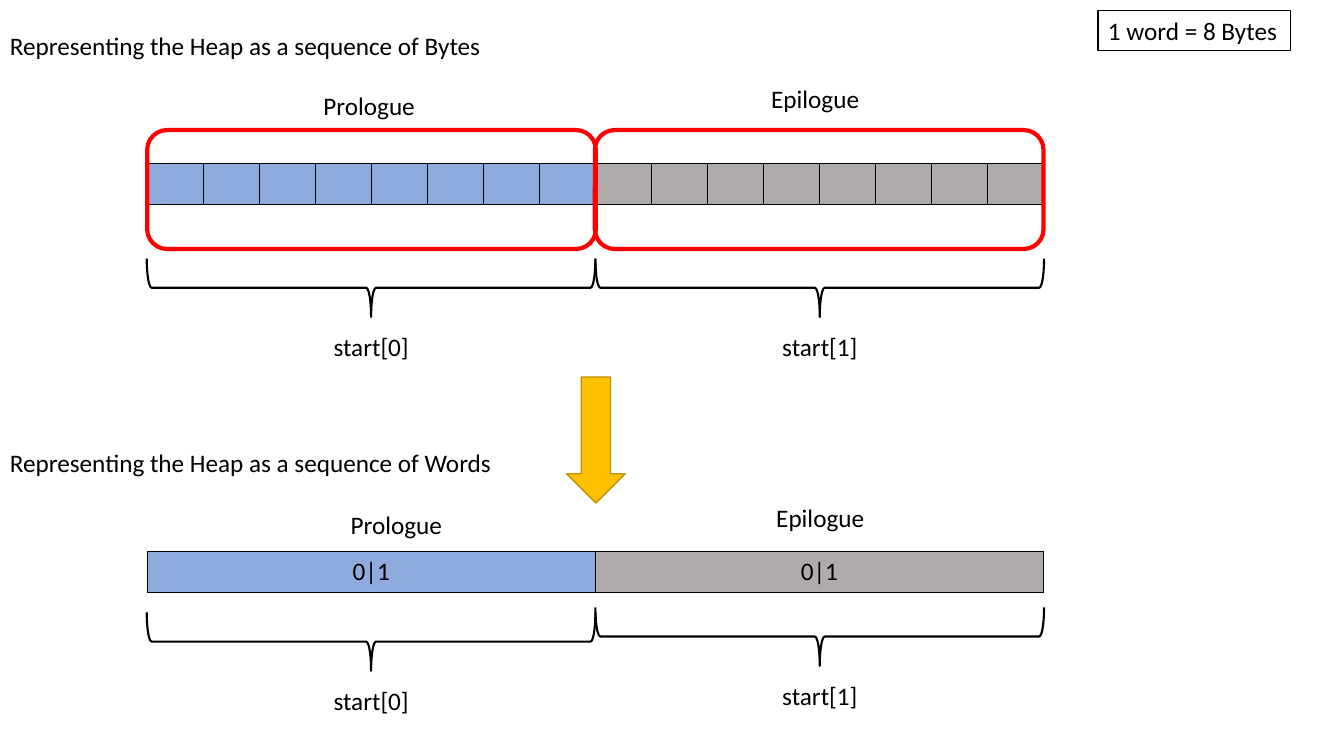
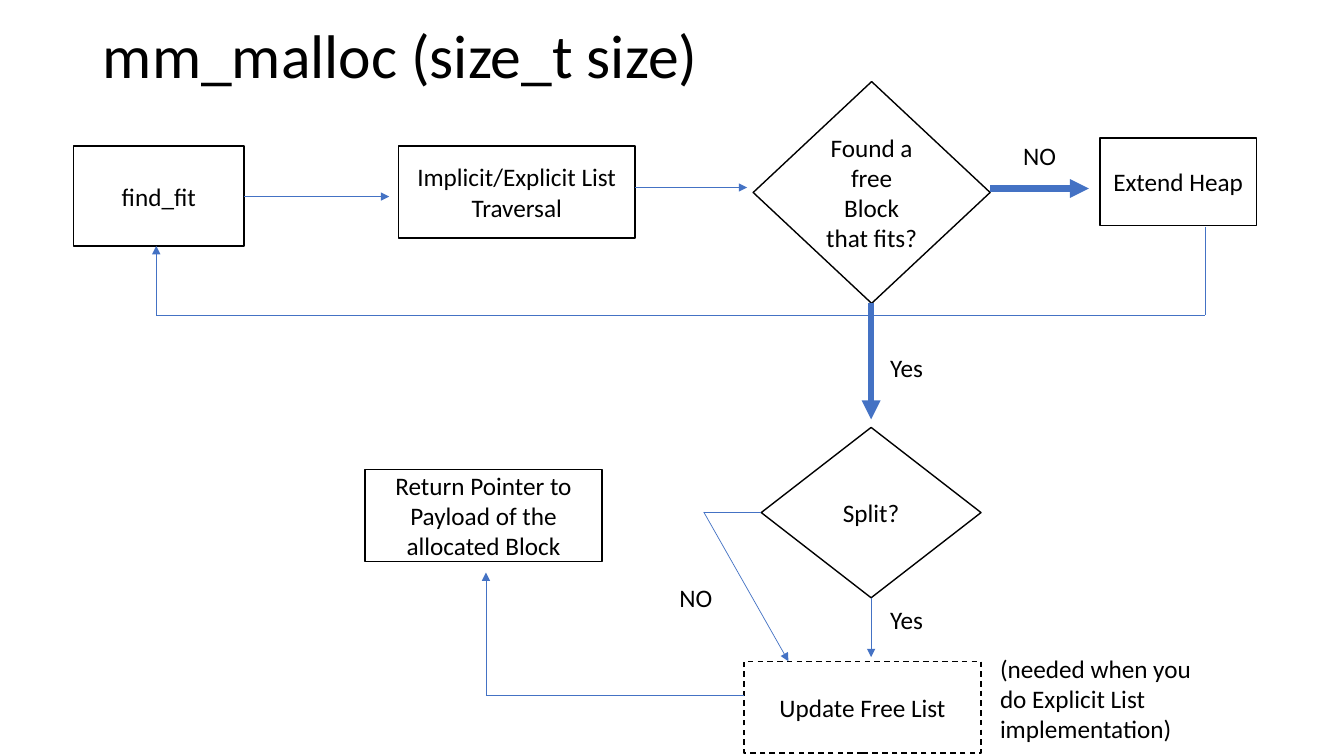
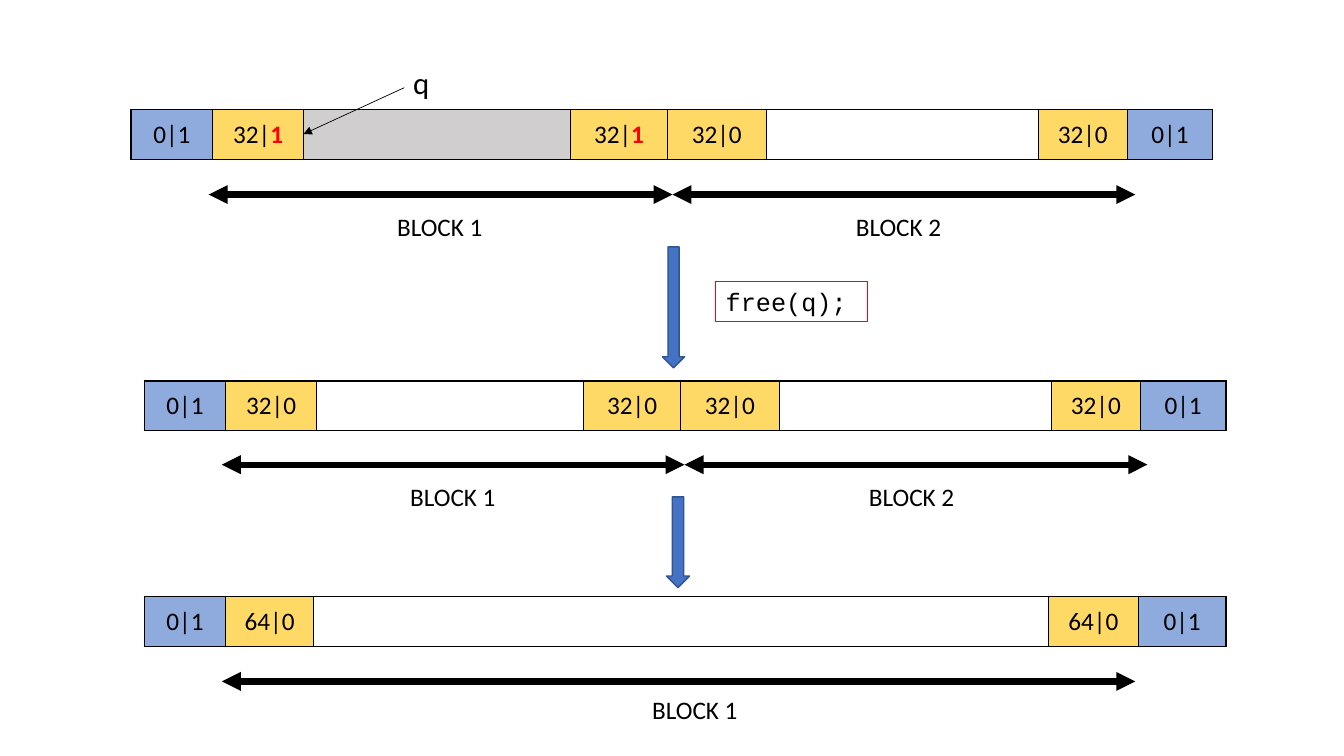
import lxml.etree
import pptx
import pptx.dml.color
import pptx.enum.dml
import pptx.enum.shapes
import pptx.enum.text
import pptx.oxml.ns
import pptx.util

RGBColor = pptx.dml.color.RGBColor
BLACK = RGBColor(0x00, 0x00, 0x00)
WHITE = RGBColor(0xFF, 0xFF, 0xFF)
RED = RGBColor(0xFF, 0x00, 0x00)
BLUE = RGBColor(0x44, 0x72, 0xC4)
DARK_BLUE = RGBColor(0x32, 0x54, 0x91)
LIGHT_BLUE = RGBColor(0x8F, 0xAA, 0xDC)
GRAY = RGBColor(0xAF, 0xAB, 0xAB)
LIGHT_GRAY = RGBColor(0xD0, 0xCE, 0xCE)
GOLD = RGBColor(0xFF, 0xC0, 0x00)
DARK_GOLD = RGBColor(0xBD, 0x8E, 0x00)
YELLOW = RGBColor(0xFF, 0xD9, 0x66)

PX = 9144  # EMU in one px, 100 px to the inch
SHAPES = pptx.enum.shapes.MSO_SHAPE
LEFT = pptx.enum.text.PP_ALIGN.LEFT
CENTER = pptx.enum.text.PP_ALIGN.CENTER
TOP = pptx.enum.text.MSO_ANCHOR.TOP
MIDDLE = pptx.enum.text.MSO_ANCHOR.MIDDLE
qn = pptx.oxml.ns.qn


def write_text(frame, text, size=18, font="Calibri", align=LEFT, anchor=TOP, highlight=""):
    """Fill a text frame; highlight is appended as a bold red run."""
    frame.word_wrap = True
    frame.vertical_anchor = anchor
    paragraph = frame.paragraphs[0]
    paragraph.alignment = align
    for words, color, bold in ((text, BLACK, False), (highlight, RED, True)):
        if words:
            run = paragraph.add_run()
            run.text = words
            run.font.size = pptx.util.Pt(size)
            run.font.name = font
            run.font.bold = bold
            run.font.color.rgb = color


def add_shape(slide, kind, left, top, width, height, fill=None, line=BLACK, weight=1):
    shape = slide.shapes.add_shape(kind, left * PX, top * PX, width * PX, height * PX)
    shape.shadow.inherit = False
    if fill is None:
        shape.fill.background()
    else:
        shape.fill.solid()
        shape.fill.fore_color.rgb = fill
    shape.line.color.rgb = line
    shape.line.width = pptx.util.Pt(weight)
    return shape


presentation = pptx.Presentation()
presentation.slide_width = 1333 * PX
presentation.slide_height = 750 * PX
title_only, blank = presentation.slide_layouts[5], presentation.slide_layouts[6]
heap_slide = presentation.slides.add_slide(blank)
malloc_slide = presentation.slides.add_slide(title_only)
free_slide = presentation.slides.add_slide(blank)

# Memory strips: each cell is (width, fill, text, highlight)
HEAP_WIDTH = 889
COLUMN_WIDTHS = (81, 90, 265, 96, 98, 270, 88, 85)
edge = (LIGHT_BLUE, "0|1", "")
free_tag = (YELLOW, "32|0", "")
used_tag = (YELLOW, "32|", "1")
merged_tag = (YELLOW, "64|0", "")
empty = (WHITE, "", "")
used = (LIGHT_GRAY, "", "")
before = (edge, used_tag, used, used_tag, free_tag, empty, free_tag, edge)
after = (edge, free_tag, empty, free_tag, free_tag, empty, free_tag, edge)
merged = (edge, merged_tag, empty, merged_tag, edge)
strips = [
    (heap_slide, 146, 162, 41,
     [(HEAP_WIDTH / 16, fill, "", "") for fill in (LIGHT_BLUE, GRAY) for _ in range(8)]),
    (heap_slide, 146, 547, 41,
     [(HEAP_WIDTH / 2, fill, "0|1", "") for fill in (LIGHT_BLUE, GRAY)]),
    (free_slide, 130, 109, 49, [(w, *cell) for w, cell in zip(COLUMN_WIDTHS, before)]),
    (free_slide, 143, 378, 49, [(w, *cell) for w, cell in zip(COLUMN_WIDTHS, after)]),
    (free_slide, 143, 592, 49, [(w, *cell) for w, cell in zip((81, 87, 729, 89, 87), merged)]),
]
for slide, left, top, height, cells in strips:
    total = int(sum(cell[0] for cell in cells) * PX)
    table = slide.shapes.add_table(
        1, len(cells), left * PX, top * PX, total, height * PX).table
    table.first_row = table.horz_banding = False
    for index, (width, fill, text, highlight) in enumerate(cells):
        table.columns[index].width = int(width * PX)
        cell = table.cell(0, index)
        properties = cell._tc.get_or_add_tcPr()
        for side in ("a:lnL", "a:lnR", "a:lnT", "a:lnB"):
            border = lxml.etree.SubElement(properties, qn(side), w="12700")
            solid = lxml.etree.SubElement(border, qn("a:solidFill"))
            lxml.etree.SubElement(solid, qn("a:srgbClr"), val=str(BLACK))
        cell.fill.solid()
        cell.fill.fore_color.rgb = fill
        cell.vertical_anchor = MIDDLE
        write_text(cell.text_frame, text, align=CENTER, anchor=MIDDLE, highlight=highlight)

# Plain labels, written after all slides are set up
labels = [
    (heap_slide, 0, 25, 525, 40, "Representing the Heap as a sequence of Bytes"),
    (heap_slide, 0, 439, 525, 40, "Representing the Heap as a sequence of Words"),
    (heap_slide, 311, 85, 115, 40, "Prologue"),
    (heap_slide, 755, 78, 115, 40, "Epilogue"),
    (heap_slide, 338, 500, 115, 40, "Prologue"),
    (heap_slide, 760, 493, 115, 40, "Epilogue"),
    (malloc_slide, 1005, 134, 68, 40, "NO"),
    (malloc_slide, 873, 345, 68, 40, "Yes"),
    (malloc_slide, 664, 573, 68, 40, "NO"),
    (malloc_slide, 873, 595, 68, 40, "Yes"),
    (malloc_slide, 982, 643, 234, 101, "(needed when you do Explicit List implementation)"),
]

# Heap as bytes and as words
for left in (146, 590):
    add_shape(heap_slide, SHAPES.ROUNDED_RECTANGLE, left, 129, 445, 118, line=RED, weight=3)
for left, top, index in ((339, 63, 0), (784, 63, 1), (339, 414, 0), (784, 409, 1)):
    brace = add_shape(heap_slide, SHAPES.RIGHT_BRACE, left, top, 58, 445, weight=1.5)
    brace.rotation = 90
    labels.append((heap_slide, left - 18, top + 261, 96, 40, f"start[{index}]"))
add_shape(heap_slide, SHAPES.DOWN_ARROW, 562, 374, 58, 125, GOLD, DARK_GOLD)
word_size = add_shape(heap_slide, SHAPES.RECTANGLE, 1089, 10, 191, 40, weight=0.75)
write_text(word_size.text_frame, "1 word = 8 Bytes")

# Allocation flowchart
title = malloc_slide.shapes.title
title.left, title.top, title.width, title.height = 92 * PX, 2 * PX, 1150 * PX, 113 * PX
title.text_frame.auto_size = pptx.enum.text.MSO_AUTO_SIZE.NONE
write_text(title.text_frame, "mm_malloc (size_t size)", size=44, anchor=MIDDLE)
title.text_frame.paragraphs[0].line_spacing = 0.9
steps = [
    (SHAPES.RECTANGLE, 73, 145, 169, 99, "find_fit"),
    (SHAPES.RECTANGLE, 395, 145, 235, 91, "Implicit/Explicit List Traversal"),
    (SHAPES.DIAMOND, 747, 81, 235, 220, "Found a free Block that fits?"),
    (SHAPES.RECTANGLE, 1091, 137, 155, 87, "Extend Heap"),
    (SHAPES.DIAMOND, 755, 424, 218, 169, "Split?"),
    (SHAPES.RECTANGLE, 362, 466, 235, 91, "Return Pointer to Payload of the allocated Block"),
    (SHAPES.RECTANGLE, 738, 656, 235, 91, "Update Free List"),
]
for kind, left, top, width, height, text in steps:
    step = add_shape(malloc_slide, kind, left, top, width, height, WHITE)
    write_text(step.text_frame, text, align=CENTER, anchor=MIDDLE)
step.line.dash_style = pptx.enum.dml.MSO_LINE.DASH  # the last step is optional

# Connectors: slide, start, end, colour, weight, arrowheads
END, BOTH = ("a:tailEnd",), ("a:headEnd", "a:tailEnd")
connectors = [
    (malloc_slide, (242, 195), (386, 195), BLUE, 0.5, END),
    (malloc_slide, (630, 186), (741, 186), BLUE, 0.5, END),
    (malloc_slide, (982, 187), (1080, 187), BLUE, 4.5, END),
    (malloc_slide, (1195, 225), (1195, 313), BLUE, 0.5, ()),
    (malloc_slide, (155, 313), (1195, 313), BLUE, 0.5, ()),
    (malloc_slide, (155, 313), (155, 244), BLUE, 0.5, END),
    (malloc_slide, (864, 301), (864, 416), BLUE, 4.5, END),
    (malloc_slide, (698, 508), (755, 508), BLUE, 0.5, ()),
    (malloc_slide, (698, 508), (782, 656), BLUE, 0.5, END),
    (malloc_slide, (864, 593), (864, 652), BLUE, 0.5, END),
    (malloc_slide, (482, 690), (738, 690), BLUE, 0.5, ()),
    (malloc_slide, (482, 690), (482, 568), BLUE, 0.5, END),
    (free_slide, (401, 87), (301, 133), BLACK, 0.5, END),
]

# Freeing and merging blocks
block_spans = [
    (207, 667, 193, 384, 205, "BLOCK 1"),
    (667, 1126, 193, 839, 205, "BLOCK 2"),
    (220, 679, 461, 397, 473, "BLOCK 1"),
    (679, 1138, 461, 852, 473, "BLOCK 2"),
    (220, 1126, 676, 637, 684, "BLOCK 1"),
]
for start, end, y, label_left, label_top, text in block_spans:
    connectors.append((free_slide, (start, y), (end, y), BLACK, 4.5, BOTH))
    labels.append((free_slide, label_left, label_top, 114, 40, text))
add_shape(free_slide, SHAPES.DOWN_ARROW, 657, 245, 22, 120, BLUE, DARK_BLUE)
add_shape(free_slide, SHAPES.DOWN_ARROW, 661, 493, 23, 90, BLUE, DARK_BLUE)
free_call = add_shape(free_slide, SHAPES.RECTANGLE, 710, 279, 150, 40, line=RED, weight=0.75)
write_text(free_call.text_frame, "free(q);", font="Courier New")
pointer = free_slide.shapes.add_textbox(400 * PX, 58 * PX, 45 * PX, 47 * PX)
write_text(pointer.text_frame, "q", size=22)

for slide, start, end, color, weight, arrowheads in connectors:
    connector = slide.shapes.add_connector(
        pptx.enum.shapes.MSO_CONNECTOR.STRAIGHT, *(value * PX for value in start + end))
    connector.line.color.rgb = color
    connector.line.width = pptx.util.Pt(weight)
    properties = connector.element.spPr
    for arrowhead in arrowheads:
        lxml.etree.SubElement(properties.find(qn("a:ln")), qn(arrowhead), type="triangle")
    lxml.etree.SubElement(properties, qn("a:effectLst"))

for slide, left, top, width, height, text in labels:
    box = slide.shapes.add_textbox(left * PX, top * PX, width * PX, height * PX)
    write_text(box.text_frame, text)

presentation.save("out.pptx")
